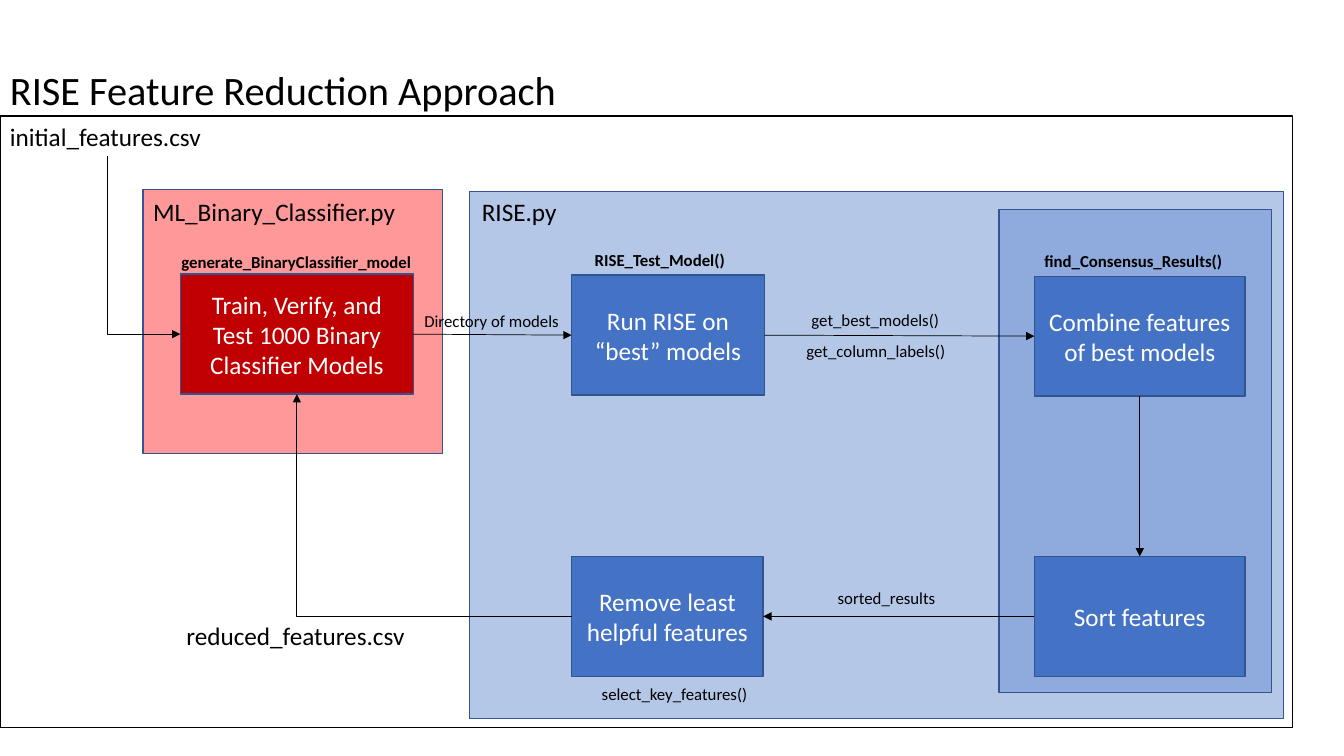
from lxml.etree import SubElement
from pptx import Presentation
from pptx.dml.color import RGBColor
from pptx.enum.shapes import MSO_CONNECTOR, MSO_SHAPE
from pptx.enum.text import MSO_ANCHOR, MSO_AUTO_SIZE, PP_ALIGN
from pptx.oxml.ns import qn
from pptx.util import Inches, Pt

FONT = "Calibri"
BLACK, WHITE, NAVY, BLUE, RED = "000000", "FFFFFF", "325491", "4472C4", "C00000"
TOP, LEFT, BOTTOM, RIGHT = range(4)
STEP_HEIGHT = 1.19

TITLE = ("RISE Feature Reduction Approach", 0, 0.69, 12.82, 0.45)
PANELS = [
    (4.66, 1.9, 8.07, 5.23, "B4C7E7", NAVY),
    (9.91, 2.08, 2.7, 4.79, "8FAADC", NAVY),
    (1.42, 1.88, 2.97, 2.62, "FF9999", NAVY),
    (0, 1.15, 12.82, 6.07, None, BLACK),
]
STEPS = {
    "train": ("Train, Verify, and Test 1000 Binary Classifier Models", 1.79, 2.72, 2.31, RED),
    "run": ("Run RISE on “best” models", 5.67, 2.73, 1.91, BLUE),
    "combine": ("Combine features of best models", 10.26, 2.74, 2.09, BLUE),
    "sort": ("Sort features", 10.26, 5.52, 2.09, BLUE),
    "remove": ("Remove least helpful features", 5.67, 5.52, 1.9, BLUE),
}
FLOWS = [
    ("train", RIGHT, "run", LEFT),
    ("run", RIGHT, "combine", LEFT),
    ("combine", BOTTOM, "sort", TOP),
    ("sort", LEFT, "remove", RIGHT),
]
INITIAL_FEATURES_EXIT = (1.06, 1.55)
FILES = [
    ("ML_Binary_Classifier.py", 1.42, 1.9, 2.63),
    ("RISE.py", 4.68, 1.9, 0.95),
    ("reduced_features.csv", 1.75, 6.11, 2.39),
    ("initial_features.csv", 0, 1.15, 2.12),
]
FUNCTIONS = [
    ("RISE_Test_Model()", 5.8, 2.43, 1.51),
    ("generate_BinaryClassifier_model", 1.7, 2.45, 2.51),
    ("find_Consensus_Results()", 10.26, 2.44, 1.99),
]
HANDOVERS = [
    ("get_best_models()", 7.95, 3.02, 1.48),
    ("get_column_labels()", 7.9, 3.33, 1.59),
    ("select_key_features()", 5.87, 6.73, 1.66),
    ("sorted_results", 8.21, 5.78, 1.18),
    ("Directory of models", 4.11, 3.03, 1.55),
]


def rgb(color):
    return RGBColor.from_string(color)


def write(frame, text, size, color, bold=False):
    run = frame.paragraphs[0].add_run()
    run.text = text
    run.font.name = FONT
    run.font.size = Pt(size)
    run.font.bold = bold
    run.font.color.rgb = rgb(color)


def add_box(slide, left, top, width, height, fill, outline):
    box = slide.shapes.add_shape(MSO_SHAPE.RECTANGLE, *map(Inches, (left, top, width, height)))
    box.shadow.inherit = False
    if fill:
        box.fill.solid()
        box.fill.fore_color.rgb = rgb(fill)
    else:
        box.fill.background()
    box.line.color.rgb = rgb(outline)
    box.line.width = Pt(1)
    return box


def add_label(slide, text, left, top, width, height, size, bold=False):
    frame = slide.shapes.add_textbox(*map(Inches, (left, top, width, height))).text_frame
    frame.word_wrap = False
    frame.auto_size = MSO_AUTO_SIZE.SHAPE_TO_FIT_TEXT
    write(frame, text, size, BLACK, bold)


def add_arrow(slide, kind, start, end):
    arrow = slide.shapes.add_connector(kind, *map(Inches, start + end))
    arrow.line.color.rgb = rgb(BLACK)
    arrow.line.width = Pt(0.5)
    SubElement(arrow.line._get_or_add_ln(), qn("a:tailEnd"), type="triangle")
    SubElement(arrow._element.spPr, qn("a:effectLst"))
    return arrow


def add_corner_arrow(slide, start, end, down_first=False):
    if down_first:
        mid_x, mid_y = (start[0] + end[0]) / 2, (start[1] + end[1]) / 2
        half_x, half_y = (end[1] - start[1]) / 2, (end[0] - start[0]) / 2
        start, end = (mid_x + half_x, mid_y - half_y), (mid_x - half_x, mid_y + half_y)
    arrow = add_arrow(slide, MSO_CONNECTOR.ELBOW, start, end)
    arrow._element.spPr.find(qn("a:prstGeom")).set("prst", "bentConnector2")
    if down_first:
        arrow._element.spPr.find(qn("a:xfrm")).set("rot", str(270 * 60000))


def side(step, site):
    _, left, top, width, _ = STEPS[step]
    x = {LEFT: 0, RIGHT: width}.get(site, width / 2)
    y = {TOP: 0, BOTTOM: STEP_HEIGHT}.get(site, STEP_HEIGHT / 2)
    return left + x, top + y


def main():
    deck = Presentation()
    deck.slide_width, deck.slide_height = Inches(13.33), Inches(7.5)
    slide = deck.slides.add_slide(deck.slide_layouts[6])

    for panel in PANELS:
        add_box(slide, *panel)

    text, *place = TITLE
    heading = slide.shapes.add_textbox(*map(Inches, place)).text_frame
    heading.word_wrap = True
    heading.vertical_anchor = MSO_ANCHOR.MIDDLE
    heading.paragraphs[0].line_spacing = 0.9
    write(heading, text, 28.8, BLACK)

    boxes = {}
    for step, (text, left, top, width, fill) in STEPS.items():
        boxes[step] = add_box(slide, left, top, width, STEP_HEIGHT, fill, NAVY)
        frame = boxes[step].text_frame
        frame.word_wrap = True
        frame.vertical_anchor = MSO_ANCHOR.MIDDLE
        frame.paragraphs[0].alignment = PP_ALIGN.CENTER
        write(frame, text, 18, WHITE)

    for source, exit_site, target, entry_site in FLOWS:
        arrow = add_arrow(slide, MSO_CONNECTOR.STRAIGHT,
                          side(source, exit_site), side(target, entry_site))
        arrow.begin_connect(boxes[source], exit_site)
        arrow.end_connect(boxes[target], entry_site)
    add_corner_arrow(slide, side("remove", LEFT), side("train", BOTTOM))
    add_corner_arrow(slide, INITIAL_FEATURES_EXIT, side("train", LEFT), down_first=True)

    for labels, height, size, bold in (
        (FILES, 0.4, 18, False),
        (FUNCTIONS, 0.3, 12, True),
        (HANDOVERS, 0.3, 12, False),
    ):
        for label in labels:
            add_label(slide, *label, height, size, bold)

    deck.save("out.pptx")


if __name__ == "__main__":
    main()
